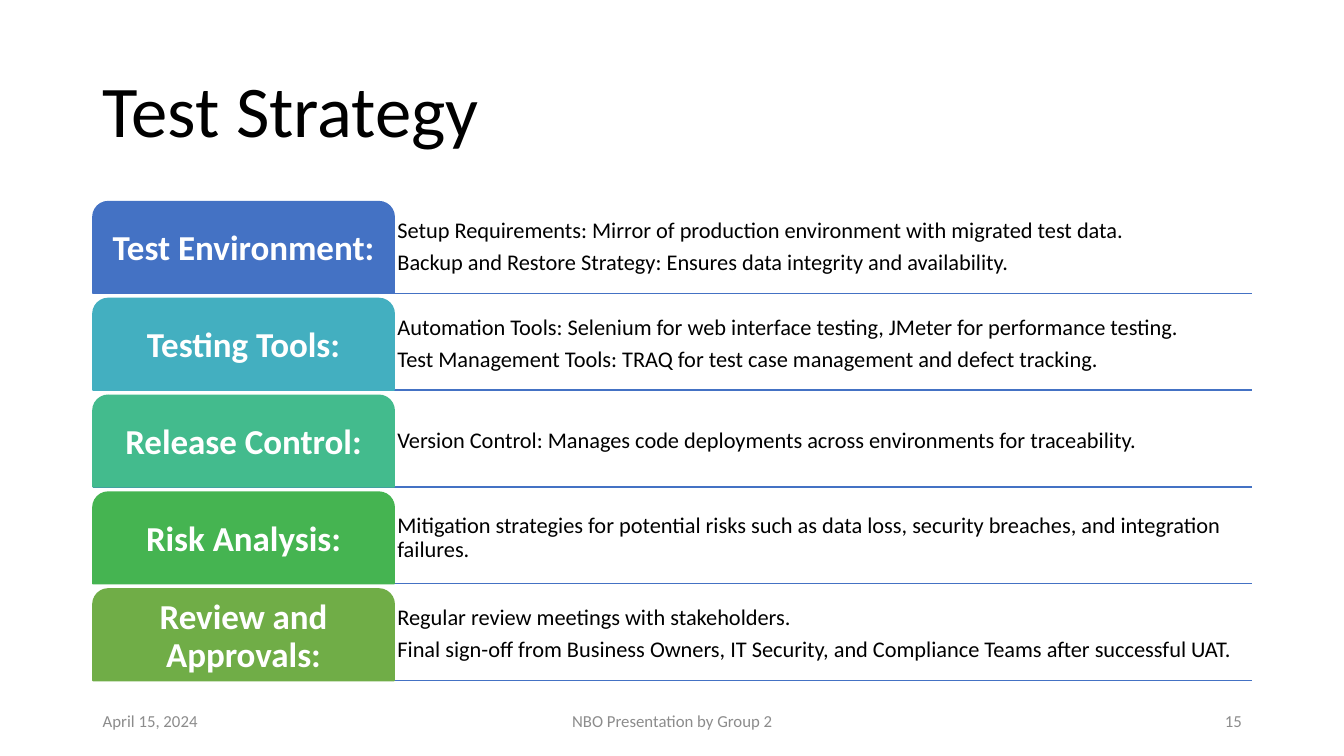
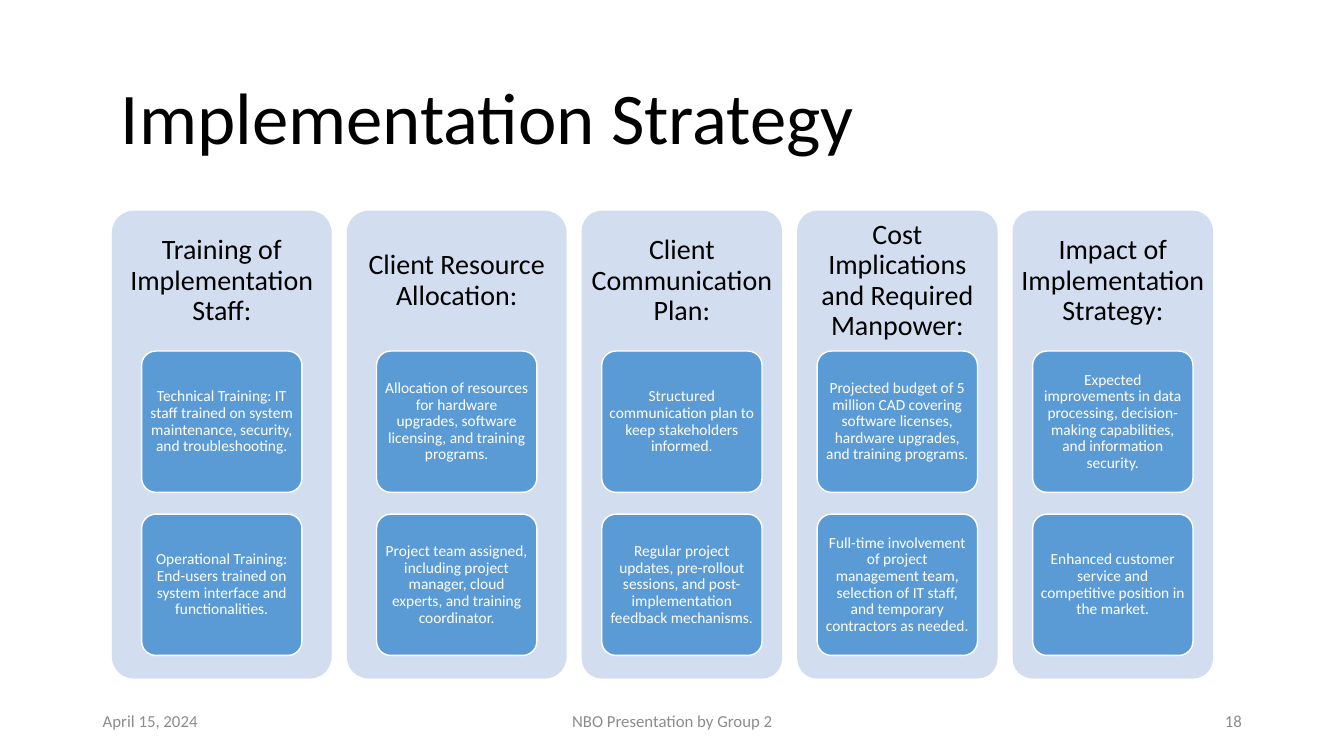
from dataclasses import dataclass
from typing import NamedTuple

from lxml.etree import SubElement
from pptx import Presentation
from pptx.dml.color import RGBColor
from pptx.enum.shapes import MSO_CONNECTOR, MSO_SHAPE
from pptx.enum.text import MSO_ANCHOR, PP_ALIGN
from pptx.oxml.ns import qn
from pptx.util import Cm, Pt


class Box(NamedTuple):
    """A rectangle in centimetres."""
    x: float
    y: float
    w: float
    h: float

    def lengths(self):
        """Return the four sides as lengths."""
        return [Cm(v) for v in self]


class Style(NamedTuple):
    """The look of one kind of text."""
    size: float
    color: str
    align: PP_ALIGN = PP_ALIGN.LEFT
    bold: bool = False
    spacing: float = 0.9
    inset: tuple = (0.25, 0.13)


@dataclass(frozen=True)
class Theme:
    """Colours and type sizes of the deck."""
    font: str = "Calibri"
    rule: str = "4472C4"
    panel: str = "D2DEEF"
    card: str = "5B9BD5"
    white: str = "FFFFFF"
    tabs: tuple = ("4472C4", "43AFC0", "43BB8D", "45B451", "70AD47")
    title: Style = Style(52, "000000")
    footer: Style = Style(12, "8C8C8C", spacing=1.0)
    tab_text: Style = Style(25, "FFFFFF", PP_ALIGN.CENTER, True, inset=(0.13, 0.13))
    detail: Style = Style(16, "000000", inset=(0.08, 0.08))
    heading: Style = Style(20, "000000", PP_ALIGN.CENTER, inset=(0.2, 0.2))
    card_text: Style = Style(11, "FFFFFF", PP_ALIGN.CENTER, inset=(0.08, 0.05))


THEME = Theme()
MARGIN, CONTENT_W = 2.34, 29.21

STRATEGY = [
    ("Test Environment:", [
        "Setup Requirements: Mirror of production environment with migrated test data.",
        "Backup and Restore Strategy: Ensures data integrity and availability."]),
    ("Testing Tools:", [
        "Automation Tools: Selenium for web interface testing, JMeter for performance testing.",
        "Test Management Tools: TRAQ for test case management and defect tracking."]),
    ("Release Control:", [
        "Version Control: Manages code deployments across environments for traceability."]),
    ("Risk Analysis:", [
        "Mitigation strategies for potential risks such as data loss, security breaches, "
        "and integration failures."]),
    ("Review and Approvals:", [
        "Regular review meetings with stakeholders.",
        "Final sign-off from Business Owners, IT Security, and Compliance Teams "
        "after successful UAT."]),
]

IMPLEMENTATION = [
    (5.54, "Training of Implementation Staff:", [
        "Technical Training: IT staff trained on system maintenance, security, "
        "and troubleshooting.",
        "Operational Training: End-users trained on system interface and functionalities."]),
    (5.54, "Client Resource Allocation:", [
        "Allocation of resources for hardware upgrades, software licensing, "
        "and training programs.",
        "Project team assigned, including project manager, cloud experts, "
        "and training coordinator."]),
    (5.05, "Client Communication Plan:", [
        "Structured communication plan to keep stakeholders informed.",
        "Regular project updates, pre-rollout sessions, and post-implementation "
        "feedback mechanisms."]),
    (5.05, "Cost Implications and Required Manpower:", [
        "Projected budget of 5 million CAD covering software licenses, "
        "hardware upgrades, and training programs.",
        "Full-time involvement of project management team, selection of IT staff, "
        "and temporary contractors as needed."]),
    (5.05, "Impact of Implementation Strategy:", [
        "Expected improvements in data processing, decision-making capabilities, "
        "and information security.",
        "Enhanced customer service and competitive position in the market."]),
]


def write(sp, lines, style):
    """Fill a shape with one paragraph per line."""
    tf = sp.text_frame
    tf.word_wrap = True
    tf.vertical_anchor = MSO_ANCHOR.MIDDLE
    tf.margin_left = tf.margin_right = Cm(style.inset[0])
    tf.margin_top = tf.margin_bottom = Cm(style.inset[1])
    for i, line in enumerate(lines):
        p = tf.add_paragraph() if i else tf.paragraphs[0]
        p.text = line
        p.alignment = style.align
        p.line_spacing = style.spacing
        if i:
            p.space_before = Pt(0.35 * style.size)
        p.font.name = THEME.font
        p.font.size = Pt(style.size)
        p.font.bold = style.bold
        p.font.color.rgb = RGBColor.from_string(style.color)


def add_text(s, box, lines, style):
    """Add a text box."""
    write(s.shapes.add_textbox(*box.lengths()), lines, style)


def add_block(s, kind, box, fill, adjustments, line=None):
    """Add a filled shape, outlined if a line colour is given."""
    sp = s.shapes.add_shape(kind, *box.lengths())
    sp.shadow.inherit = False
    for i, value in enumerate(adjustments):
        sp.adjustments[i] = value
    sp.fill.solid()
    sp.fill.fore_color.rgb = RGBColor.from_string(fill)
    if line:
        sp.line.color.rgb = RGBColor.from_string(line)
        sp.line.width = Pt(1)
    else:
        sp.line.fill.background()
    return sp


def add_rule(s, x, y, w):
    """Add a thin horizontal line."""
    rule = s.shapes.add_connector(MSO_CONNECTOR.STRAIGHT, Cm(x), Cm(y), Cm(x + w), Cm(y))
    rule.line.color.rgb = RGBColor.from_string(THEME.rule)
    rule.line.width = Pt(1)
    SubElement(rule._element.spPr, qn("a:effectLst"))


def add_frame(prs, title, title_box, number):
    """Add a blank slide with its title and footer."""
    s = prs.slides.add_slide(prs.slide_layouts[6])
    add_text(s, title_box, [title], THEME.title)
    footers = [
        (MARGIN, 7.62, "April 15, 2024", PP_ALIGN.LEFT),
        (11.23, 11.43, "NBO Presentation by Group 2", PP_ALIGN.CENTER),
        (23.93, 7.62, str(number), PP_ALIGN.RIGHT),
    ]
    for x, w, text, align in footers:
        add_text(s, Box(x, 17.65, w, 1.02), [text], THEME.footer._replace(align=align))
    return s


def add_tab_row(s, box, color, label, details):
    """Add a coloured tab with details beside it and a rule below."""
    tab_w = 0.26 * box.w
    add_rule(s, box.x, box.y + box.h, box.w)
    add_text(s, Box(box.x + tab_w, box.y, box.w - tab_w, box.h), details, THEME.detail)
    tab = add_block(s, MSO_SHAPE.ROUND_2_SAME_RECTANGLE, box._replace(w=tab_w),
                    color, (0.167, 0), color)
    write(tab, [label], THEME.tab_text)


def add_tab_list(s, box, rows, gap=0.13):
    """Stack the tab rows evenly in the box."""
    row_h = (box.h - gap * (len(rows) - 1)) / len(rows)
    for i, (color, (label, details)) in enumerate(zip(THEME.tabs, rows)):
        row = Box(box.x, box.y + i * (row_h + gap), box.w, row_h)
        add_tab_row(s, row, color, label, details)


def add_card_column(s, box, heading, cards):
    """Add a panel with a heading above its cards."""
    card_w, card_h, pitch = 4.04, 3.56, 4.11
    head_h = 0.3 * box.h
    add_block(s, MSO_SHAPE.ROUNDED_RECTANGLE, box, THEME.panel, (0.1,))
    add_text(s, box._replace(h=head_h), [heading], THEME.heading)
    for i, text in enumerate(cards):
        place = Box(box.x + (box.w - card_w) / 2, box.y + head_h + i * pitch, card_w, card_h)
        card = add_block(s, MSO_SHAPE.ROUNDED_RECTANGLE, place, THEME.card, (0.1,), THEME.white)
        write(card, [text], THEME.card_text)


def add_card_columns(s, x, y, h, columns, gap=0.38):
    """Set the columns side by side with equal gaps."""
    for w, heading, cards in columns:
        add_card_column(s, Box(x, y, w, h), heading, cards)
        x += w + gap


def main():
    """Build and save the deck."""
    prs = Presentation()
    prs.slide_width, prs.slide_height = Cm(33.87), Cm(19.05)
    s = add_frame(prs, "Test Strategy", Box(MARGIN, 1.02, CONTENT_W, 3.68), 15)
    add_tab_list(s, Box(MARGIN, 5.08, CONTENT_W, 12.07), STRATEGY)
    s = add_frame(prs, "Implementation Strategy", Box(2.8, 1.5, 27.76, 3.1), 18)
    add_card_columns(s, 2.82, 5.31, 11.79, IMPLEMENTATION)
    prs.save("out.pptx")


if __name__ == "__main__":
    main()
